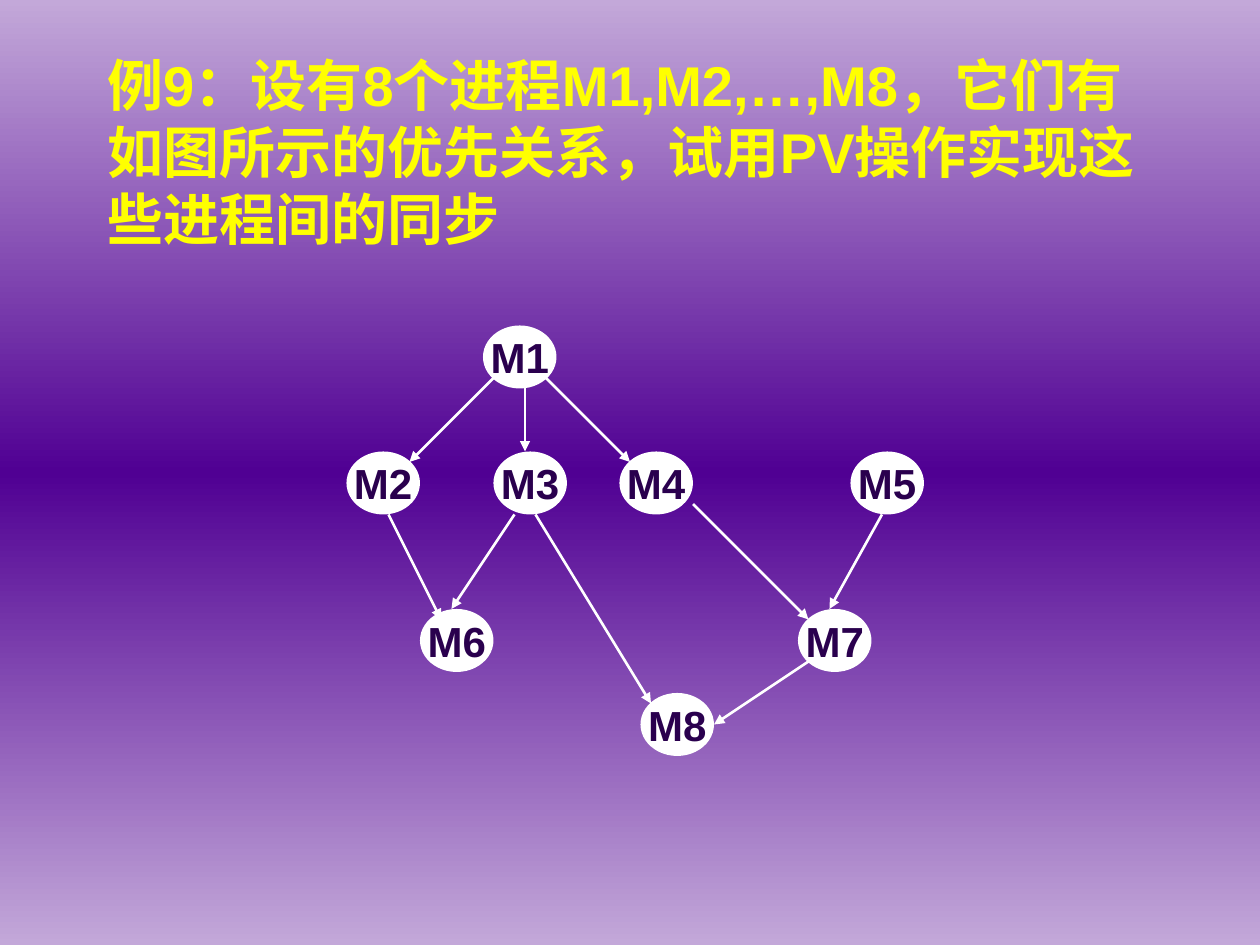
from copy import deepcopy

from pptx import Presentation
from pptx.dml.color import RGBColor
from pptx.enum.shapes import MSO_CONNECTOR, MSO_SHAPE
from pptx.enum.text import MSO_ANCHOR, MSO_AUTO_SIZE, PP_ALIGN
from pptx.oxml.ns import qn
from pptx.oxml.xmlchemy import OxmlElement
from pptx.util import Inches, Pt

COLUMNS, ROWS = 120, 90
NODE_SIZE = (7, 6)
COLORS = {
    "edge": "C3A8D9",
    "middle": "500093",
    "title": "FFFF00",
    "node": "FFFFFF",
    "label": "2A004E",
}
PROCESSES = {
    "M1": (46, 31),
    "M2": (33, 43),
    "M3": (47, 43),
    "M4": (59, 43),
    "M5": (81, 43),
    "M6": (40, 58),
    "M7": (76, 58),
    "M8": (61, 66),
}
PRECEDENCES = [
    ((47, 36), (39, 44)),
    ((50, 37), (50, 43)),
    ((52, 36), (60, 44)),
    ((37, 49), (42, 59)),
    ((49, 49), (43, 58)),
    ((51, 49), (62, 67)),
    ((66, 48), (77, 59)),
    ((84, 49), (79, 58)),
    ((77, 63), (68, 69)),
]


class GraphSlide:
    font_name = "Arial"

    def __init__(self, deck):
        self.slide = deck.slides.add_slide(deck.slide_layouts[5])
        self.cell_width = deck.slide_width / COLUMNS
        self.cell_height = deck.slide_height / ROWS

    def place(self, column, row):
        return round(column * self.cell_width), round(row * self.cell_height)

    def color(self, role):
        return RGBColor.from_string(COLORS[role])

    def set_text(self, frame, text, size, role, alignment):
        frame.vertical_anchor = MSO_ANCHOR.MIDDLE
        frame.auto_size = MSO_AUTO_SIZE.NONE
        paragraph = frame.paragraphs[0]
        paragraph.text = text
        paragraph.alignment = alignment
        paragraph.font.name = self.font_name
        paragraph.font.size = Pt(size)
        paragraph.font.bold = True
        paragraph.font.color.rgb = self.color(role)

    def background(self, *roles):
        fill = self.slide.background.fill
        fill.gradient()
        fill.gradient_angle = 90
        stop_list = self.slide.element.find(".//" + qn("a:gsLst"))
        stop_list.append(deepcopy(stop_list[-1]))
        for index, (stop, role) in enumerate(zip(fill.gradient_stops, roles)):
            stop.position = index / (len(roles) - 1)
            stop.color.rgb = self.color(role)

    def title(self, text, corner, size):
        heading = self.slide.shapes.title
        heading.left, heading.top = self.place(*corner)
        heading.width, heading.height = self.place(*size)
        heading.text_frame.word_wrap = True
        self.set_text(heading.text_frame, text, 32, "title", PP_ALIGN.LEFT)

    def node(self, label, corner):
        oval = self.slide.shapes.add_shape(
            MSO_SHAPE.OVAL, *self.place(*corner), *self.place(*NODE_SIZE)
        )
        oval.shadow.inherit = False
        oval.fill.solid()
        oval.fill.fore_color.rgb = self.color("node")
        oval.line.fill.background()
        oval.text_frame.word_wrap = False
        self.set_text(oval.text_frame, label, 24, "label", PP_ALIGN.CENTER)

    def arrow(self, start, end):
        edge = self.slide.shapes.add_connector(
            MSO_CONNECTOR.STRAIGHT, *self.place(*start), *self.place(*end)
        )
        edge.line.color.rgb = self.color("node")
        edge.line.width = Pt(1.5)
        head = OxmlElement("a:tailEnd")
        head.set("type", "triangle")
        properties = edge.element.spPr
        properties.find(qn("a:ln")).append(head)
        properties.append(OxmlElement("a:effectLst"))


def main():
    deck = Presentation()
    deck.slide_width, deck.slide_height = Inches(10), Inches(7.5)
    graph = GraphSlide(deck)
    graph.background("edge", "middle", "edge")
    graph.title(
        "例9：设有8个进程M1,M2,…,M8，它们有如图所示的优先关系，试用PV操作实现这些进程间的同步",
        (9, 6),
        (101, 16.8),
    )
    for label, corner in PROCESSES.items():
        graph.node(label, corner)
    for start, end in PRECEDENCES:
        graph.arrow(start, end)
    deck.save("out.pptx")


if __name__ == "__main__":
    main()
